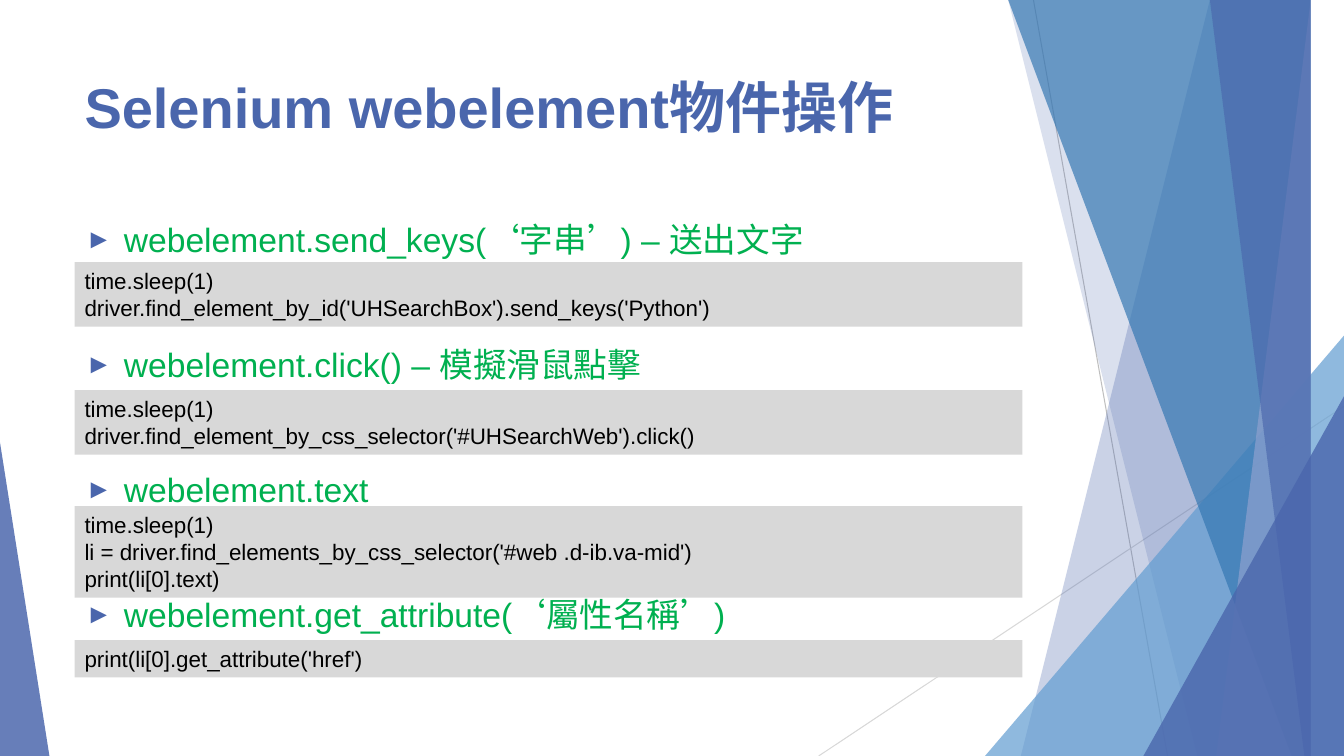
from lxml import etree
from pptx import Presentation
from pptx.dml.color import RGBColor
from pptx.enum.lang import MSO_LANGUAGE_ID
from pptx.enum.shapes import MSO_CONNECTOR, MSO_SHAPE
from pptx.enum.text import MSO_ANCHOR, PP_ALIGN
from pptx.oxml.ns import qn
from pptx.util import Inches, Pt

LEFT, TOP, MID = PP_ALIGN.LEFT, MSO_ANCHOR.TOP, MSO_ANCHOR.MIDDLE
RECT, TRI = MSO_SHAPE.RECTANGLE, MSO_SHAPE.ISOSCELES_TRIANGLE
LINE, LANG = MSO_CONNECTOR.STRAIGHT, MSO_LANGUAGE_ID.TAIWAN if hasattr(MSO_LANGUAGE_ID, "TAIWAN") else None

WIDE, HIGH = 13.33, 7.5
EDGE, SPAN = 0.74, 9.4
FIRST, PITCH = 2.12, 1.24
NAVY, GREEN, GRAY, BLACK = "4A66AC", "00B050", "D8D8D8", "000000"

TITLE = "Selenium webelement物件操作"
PARTS = [
    ("webelement.send_keys(‘字串’) – 送出文字", 2.6,
     ["time.sleep(1)",
      "driver.find_element_by_id('UHSearchBox').send_keys('Python')"]),
    ("webelement.click() – 模擬滑鼠點擊", 3.87,
     ["time.sleep(1)",
      "driver.find_element_by_css_selector('#UHSearchWeb').click()"]),
    ("webelement.text", 5.02,
     ["time.sleep(1)",
      "li = driver.find_elements_by_css_selector('#web .d-ib.va-mid')",
      "print(li[0].text)"]),
    ("webelement.get_attribute(‘屬性名稱’)", 6.35,
     ["print(li[0].get_attribute('href')"]),
]
RAYS = [((10.25, 0), (11.58, HIGH), "BFBFBF"),
        ((WIDE, 4.03), (8.12, HIGH), GRAY)]
BACK = [(12.28, 10.04, NAVY, 29), (10.5, 11.83, NAVY, 20)]
FRONT = [(10.21, 12.91, "3477B2", 69), (13.03, 11.92, "8FA1CF", 69),
         (11.96, 13.18, NAVY, 64)]

deck = Presentation()
deck.slide_width, deck.slide_height = Inches(WIDE), Inches(HIGH)
slide = deck.slides.add_slide(deck.slide_layouts[6])
shapes = slide.shapes


def tint(hue):
    return RGBColor.from_string(hue)


def paint(shape, hue, alpha=100):
    shape.shadow.inherit = False
    shape.line.fill.background()
    shape.fill.solid()
    shape.fill.fore_color.rgb = tint(hue)
    if alpha < 100:
        node = shape.fill._xPr.find(".//" + qn("a:srgbClr"))
        etree.SubElement(node, qn("a:alpha")).set("val", str(alpha * 1000))


def ray(start, end, hue):
    line = shapes.add_connector(LINE, *map(Inches, start + end))
    line.line.color.rgb = tint(hue)
    line.line.width = Pt(0.75)
    etree.SubElement(line._element.spPr, qn("a:effectLst"))


def band(top, foot, hue, alpha):
    pen = shapes.build_freeform(top, 0, scale=Inches(1))
    pen.add_line_segments([(WIDE, 0), (WIDE, HIGH), (foot, HIGH)])
    paint(pen.convert_to_shape(), hue, alpha)


def wedge(left, width, tall, peak, hue, alpha):
    box = map(Inches, (left, HIGH - tall, width, tall))
    shape = shapes.add_shape(TRI, *box)
    shape.adjustments[0] = peak
    paint(shape, hue, alpha)


def write(shape, lines, size, hue, bold=False, anchor=TOP):
    frame = shape.text_frame
    frame.word_wrap = True
    frame.vertical_anchor = anchor
    frame.text = "\n".join(lines)
    for para in frame.paragraphs:
        para.alignment = LEFT
        font = para.runs[0].font
        font.name, font.size, font.bold = "Arial", Pt(size), bold
        font.color.rgb = tint(hue)
        if LANG:
            font.language_id = LANG


def label(top, tall, text, size, hue, bold=False):
    box = shapes.add_textbox(*map(Inches, (EDGE, top, SPAN, tall)))
    write(box, [text], size, hue, bold)
    return box


def bullet(para):
    props = para._p.get_or_add_pPr()
    props.set("marL", str(Inches(0.39)))
    props.set("indent", str(Inches(-0.38)))
    shade = etree.SubElement(props, qn("a:buClr"))
    etree.SubElement(shade, qn("a:srgbClr")).set("val", NAVY)
    etree.SubElement(props, qn("a:buSzPct")).set("val", "80000")
    etree.SubElement(props, qn("a:buFont")).set("typeface", "Arial")
    etree.SubElement(props, qn("a:buChar")).set("char", "►")


for item in RAYS:
    ray(*item)
for item in BACK:
    band(*item)
wedge(9.77, 3.56, 4.17, 1, "629DD1", 71)
for item in FRONT:
    band(*item)
wedge(11.34, 1.99, 3.57, 1, NAVY, 80)
wedge(0, 0.49, 3.11, 0, NAVY, 84)

label(0.67, 1.44, TITLE, 40, NAVY, True)
for row, (head, top, code) in enumerate(PARTS):
    box = label(FIRST + row * PITCH, 0.5, head, 24, GREEN)
    bullet(box.text_frame.paragraphs[0])
    tall = 0.1 + 0.27 * len(code)
    panel = shapes.add_shape(RECT, *map(Inches, (EDGE, top, SPAN, tall)))
    paint(panel, GRAY)
    write(panel, code, 16, BLACK, anchor=MID)

deck.save("out.pptx")
